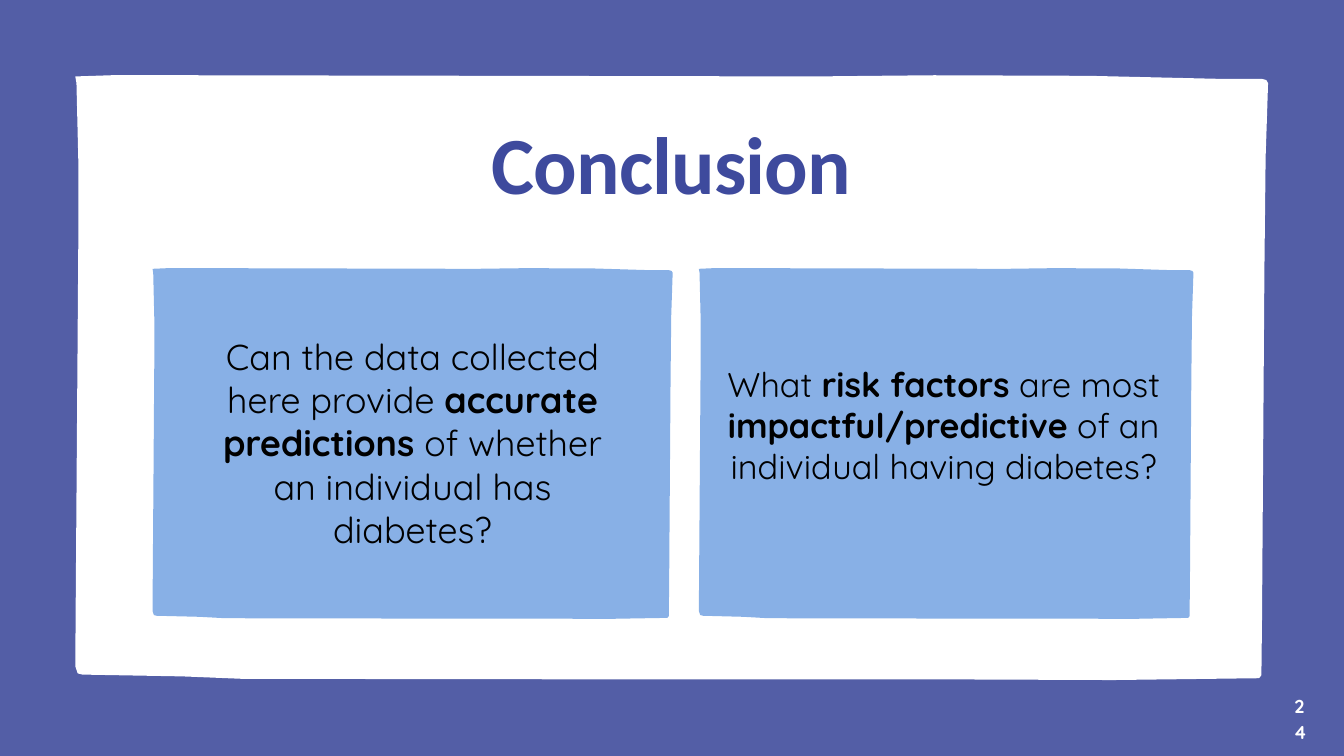
from pptx import Presentation
from pptx.dml.color import RGBColor
from pptx.enum.text import MSO_AUTO_SIZE as AutoSize, PP_ALIGN as Align
from pptx.util import Inches, Pt

WIDTH, HEIGHT = 20, 11.25
PURPLE, INDIGO, SKY = "535EA6", "3E4A9D", "88B0E6"
WHITE, BLACK = "FFFFFF", "000000"

# noqa
BRUSH_EDGE = [
    (0, 0, 0.002), (0.03, 0, 0), (0.1, 0, 0), (0.62, 0, 0.002),
    (0.67, 0, 0.001), (0.72, 0, 0), (0.85, 0, 0.001), (0.96, 0, 0.006),
    (1, -0.01, 0.006), (1, -0.003, 0.008), (1, 0, 0.013),
    (1, -0.002, 0.075), (1, -0.004, 0.135), (1, -0.006, 0.32),
    (1, -0.01, 0.9), (1, -0.011, 0.992), (1, -0.015, 0.997),
    (0.87, 0, 1), (0.74, 0, 0.999), (0.5, 0, 0.999), (0.14, 0, 0.998),
    (0.09, 0, 0.994), (0, 0.012, 0.991), (0, 0.004, 0.989),
    (0, 0, 0.977), (0, 0.001, 0.84), (0, 0.005, 0.28),
    (0, 0.005, 0.14), (0, 0.002, 0.013),
]


def color(value):
    return RGBColor.from_string(value)


def inside(box, shares):
    x, y, w, h = box
    left, top, width, height = shares
    return x + left * w, y + top * h, width * w, height * h


def add_brush_panel(s, box, fill):
    x, y, w, h = box
    points = [
        (Inches(x + across * w + wobble * h), Inches(y + down * h))
        for across, wobble, down in BRUSH_EDGE
    ]
    builder = s.shapes.build_freeform(*points[0], scale=1.0)
    builder.add_line_segments(points[1:], close=True)
    sp = builder.convert_to_shape()
    sp.shadow.inherit = False
    sp.fill.solid()
    sp.fill.fore_color.rgb = color(fill)
    sp.line.fill.background()


def add_text(s, box, parts, font, size, spacing, fill, bold_from=0):
    tf = s.shapes.add_textbox(*map(Inches, box)).text_frame
    tf.margin_left = tf.margin_right = tf.margin_top = tf.margin_bottom = 0
    tf.word_wrap = True
    tf.auto_size = AutoSize.SHAPE_TO_FIT_TEXT
    p = tf.paragraphs[0]
    p.alignment = Align.CENTER
    p.line_spacing = Pt(spacing)
    p.font.name = font
    p.font.size = Pt(size)
    p.font.color.rgb = color(fill)
    for i, part in enumerate(parts):
        r = p.add_run()
        r.text = part
        r.font.bold = i % 2 == bold_from
    return p


def add_title_panel(s, box):
    add_brush_panel(s, box, WHITE)
    p = add_text(s, inside(box, (0.16, 0.09, 0.68, 0.14)), ["Conclusion"],
                 "Calibri", 87, 87, INDIGO)
    p.runs[0]._r.get_or_add_rPr().set("spc", "-90")


def add_question_card(s, box, text_shares, parts, size, spacing):
    add_brush_panel(s, box, SKY)
    add_text(s, inside(box, text_shares), parts, "Quicksand", size, spacing,
             BLACK, bold_from=1)


def add_page_number(s, box):
    add_text(s, box, ["24"], "Quicksand", 20, 28, WHITE)


def main():
    prs = Presentation()
    prs.slide_width, prs.slide_height = Inches(WIDTH), Inches(HEIGHT)
    s = prs.slides.add_slide(prs.slide_layouts[6])
    s.background.fill.solid()
    s.background.fill.fore_color.rgb = color(PURPLE)

    add_title_panel(s, (1.12, 1.12, 17.75, 9))
    add_question_card(
        s, (2.27, 3.99, 7.74, 5.22), (0.11, 0.19, 0.78, 0.62),
        ["Can the data collected here provide ", "accurate predictions",
         " of whether an individual has diabetes?"], 38.5, 46.2)
    add_question_card(
        s, (10.4, 3.99, 7.36, 5.22), (0.05, 0.27, 0.89, 0.47),
        ["What ", "risk factors", " are most ", "impactful/predictive",
         " of an individual having diabetes?"], 36.7, 44.1)
    add_page_number(s, (19.25, 10.28, 0.17, 0.22))
    prs.save("out.pptx")


if __name__ == "__main__":
    main()
